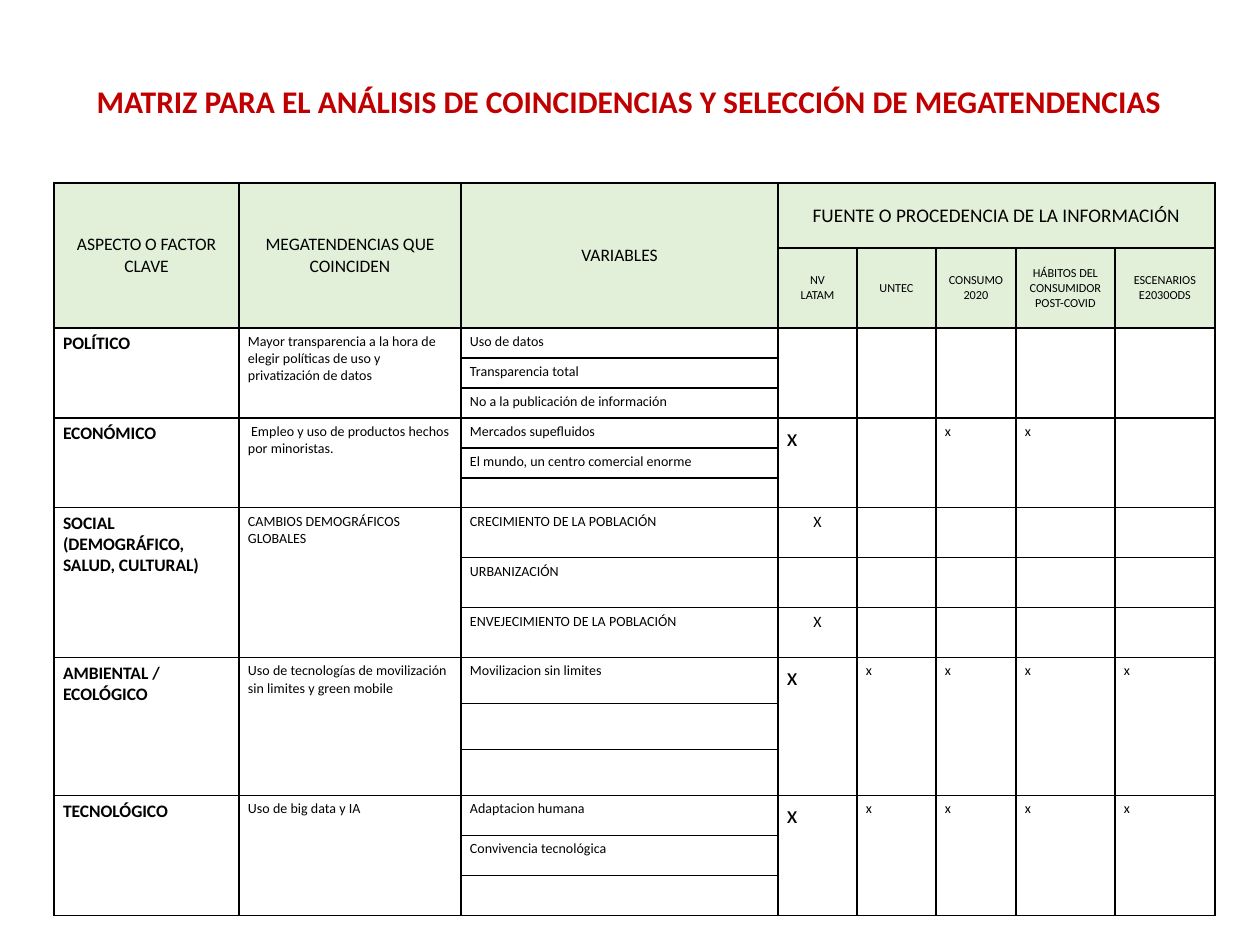
from dataclasses import dataclass
from typing import Any

import lxml.etree
import pptx
import pptx.dml.color
import pptx.enum.text
import pptx.oxml.ns
import pptx.util

EMU_PER_PX = 914400 / 126
ALIGN = pptx.enum.text.PP_ALIGN
ANCHOR = pptx.enum.text.MSO_ANCHOR


@dataclass(frozen=True)
class Theme:
    font: str = "Calibri"
    ink: str = "000000"
    accent: str = "C00000"
    header: str = "E2F0D9"
    title_size: int = 18
    mark_size: int = 14
    group_size: int = 11
    label_size: int = 10
    count_size: int = 9
    body_size: int = 8
    source_size: int = 7
    border_width: int = 1


THEME = Theme()


@dataclass(frozen=True)
class Entry:
    row: int
    column: int
    text: str = ""
    size: int = THEME.body_size
    bold: bool = False
    centred: bool = False
    rows: int = 1
    columns: int = 1


@dataclass(frozen=True)
class Factor:
    name: str
    trend: str
    variables: tuple[str, str, str]
    marks: str = ""
    counts: tuple[str, ...] = ()


TITLE = "MATRIZ PARA EL ANÁLISIS DE COINCIDENCIAS Y SELECCIÓN DE MEGATENDENCIAS"
HEADINGS = ("ASPECTO O FACTOR CLAVE", "MEGATENDENCIAS QUE COINCIDEN", "VARIABLES")
SOURCE_GROUP = "FUENTE O PROCEDENCIA DE LA INFORMACIÓN"
SOURCES = (
    "NV\nLATAM",
    "UNTEC",
    "CONSUMO 2020",
    "HÁBITOS DEL CONSUMIDOR POST-COVID",
    "ESCENARIOS E2030ODS",
)
FACTORS = (
    Factor(
        "POLÍTICO",
        "Mayor transparencia a la hora de elegir políticas de uso y privatización de datos",
        ("Uso de datos", "Transparencia total", "No a la publicación de información"),
        "-----",
    ),
    Factor(
        "ECONÓMICO",
        " Empleo y uso de productos hechos por minoristas.",
        ("Mercados supefluidos", "El mundo, un centro comercial enorme", ""),
        "x-xx-",
    ),
    Factor(
        "SOCIAL (DEMOGRÁFICO, SALUD, CULTURAL)",
        "CAMBIOS DEMOGRÁFICOS GLOBALES",
        ("CRECIMIENTO DE LA POBLACIÓN", "URBANIZACIÓN", "ENVEJECIMIENTO DE LA POBLACIÓN"),
        counts=("X", "", "X"),
    ),
    Factor(
        "AMBIENTAL / ECOLÓGICO",
        "Uso de tecnologías de movilización sin limites y green mobile",
        ("Movilizacion sin limites", "", ""),
        "xxxxx",
    ),
    Factor(
        "TECNOLÓGICO",
        "Uso de big data y IA",
        ("Adaptacion humana", "Convivencia tecnológica", ""),
        "xxxxx",
    ),
)
COLUMN_WIDTHS = (185, 222, 317, 79, 79, 80, 99, 100)
ROW_HEIGHTS = (65, 80, *[30] * 6, *[50] * 3, *[46] * 3, *[40] * 3)
HEADER_ROWS = 2
FIRST_SOURCE = len(HEADINGS)


def px(length: int) -> int:
    return round(length * EMU_PER_PX)


def colour(code: str) -> pptx.dml.color.RGBColor:
    return pptx.dml.color.RGBColor.from_string(code)


def apply(target: Any, values: dict[str, Any]) -> None:
    for name, value in values.items():
        setattr(target, name, value)


def write(para: Any, text: str, size: int, bold: bool, code: str) -> None:
    span = para.add_run()
    span.text = text
    apply(span.font, {"name": THEME.font, "size": pptx.util.Pt(size), "bold": bold})
    span.font.color.rgb = colour(code)


def draw_borders(cell: Any) -> None:
    properties = cell._tc.get_or_add_tcPr()
    width = str(pptx.util.Pt(THEME.border_width))
    for position, side in enumerate(("a:lnL", "a:lnR", "a:lnT", "a:lnB")):
        line = lxml.etree.Element(pptx.oxml.ns.qn(side), w=width)
        fill = lxml.etree.SubElement(line, pptx.oxml.ns.qn("a:solidFill"))
        lxml.etree.SubElement(fill, pptx.oxml.ns.qn("a:srgbClr"), val=THEME.ink)
        properties.insert(position, line)


def style_cell(cell: Any, is_header: bool) -> None:
    apply(cell, {
        "margin_left": px(9),
        "margin_right": px(9),
        "margin_top": px(5),
        "margin_bottom": px(5),
        "vertical_anchor": ANCHOR.MIDDLE if is_header else ANCHOR.TOP,
    })
    if is_header:
        cell.fill.solid()
        cell.fill.fore_color.rgb = colour(THEME.header)
    else:
        cell.fill.background()
    draw_borders(cell)
    lxml.etree.SubElement(
        cell.text_frame.paragraphs[0]._p,
        pptx.oxml.ns.qn("a:endParaRPr"),
        sz=str(THEME.body_size * 100),
    )


def header_entries() -> list[Entry]:
    entries = [
        Entry(0, column, text, THEME.label_size, centred=True, rows=HEADER_ROWS)
        for column, text in enumerate(HEADINGS)
    ]
    entries.append(Entry(0, FIRST_SOURCE, SOURCE_GROUP, THEME.group_size,
                         centred=True, columns=len(SOURCES)))
    entries += [
        Entry(1, column, text, THEME.source_size, centred=True)
        for column, text in enumerate(SOURCES, FIRST_SOURCE)
    ]
    return entries


def factor_entries(top: int, factor: Factor) -> list[Entry]:
    height = len(factor.variables)
    entries = [
        Entry(top, 0, factor.name, THEME.label_size, bold=True, rows=height),
        Entry(top, 1, factor.trend, rows=height),
    ]
    entries += [Entry(row, 2, text) for row, text in enumerate(factor.variables, top)]
    for column, mark in enumerate(factor.marks, FIRST_SOURCE):
        size = THEME.mark_size if column == FIRST_SOURCE else THEME.body_size
        entries.append(Entry(top, column, mark.strip("-"), size, rows=height))
    entries += [
        Entry(row, FIRST_SOURCE, text, THEME.count_size, centred=True)
        for row, text in enumerate(factor.counts, top)
    ]
    return entries


def fill_entry(table: Any, entry: Entry) -> None:
    cell = table.cell(entry.row, entry.column)
    if entry.rows * entry.columns > 1:
        cell.merge(table.cell(entry.row + entry.rows - 1, entry.column + entry.columns - 1))
    if not entry.text:
        return
    for index, text in enumerate(entry.text.split("\n")):
        para = cell.text_frame.add_paragraph() if index else cell.text_frame.paragraphs[0]
        para.alignment = ALIGN.CENTER if entry.centred else ALIGN.LEFT
        write(para, text, entry.size, entry.bold, THEME.ink)


def draw_matrix(page: Any) -> None:
    frame = page.shapes.add_table(
        len(ROW_HEIGHTS), len(COLUMN_WIDTHS), px(54), px(183),
        px(sum(COLUMN_WIDTHS)), px(sum(ROW_HEIGHTS)))
    table = frame.table
    apply(table, {"first_row": False, "horz_banding": False})
    for column, width in zip(table.columns, COLUMN_WIDTHS):
        column.width = px(width)
    for index, (row, height) in enumerate(zip(table.rows, ROW_HEIGHTS)):
        row.height = px(height)
        for cell in row.cells:
            style_cell(cell, index < HEADER_ROWS)
    entries = header_entries()
    for index, factor in enumerate(FACTORS):
        entries += factor_entries(HEADER_ROWS + index * len(factor.variables), factor)
    for entry in entries:
        fill_entry(table, entry)


def draw_title(page: Any) -> None:
    box = page.shapes.title
    apply(box, {"left": px(54), "top": px(76), "width": px(1150), "height": px(50)})
    apply(box.text_frame, {"word_wrap": True, "vertical_anchor": ANCHOR.MIDDLE})
    para = box.text_frame.paragraphs[0]
    para.alignment = ALIGN.CENTER
    write(para, TITLE, THEME.title_size, True, THEME.accent)


def main() -> None:
    deck = pptx.Presentation()
    apply(deck, {"slide_width": px(1260), "slide_height": px(945)})
    page = deck.slides.add_slide(deck.slide_layouts[5])
    draw_matrix(page)
    draw_title(page)
    deck.save("out.pptx")


if __name__ == "__main__":
    main()
